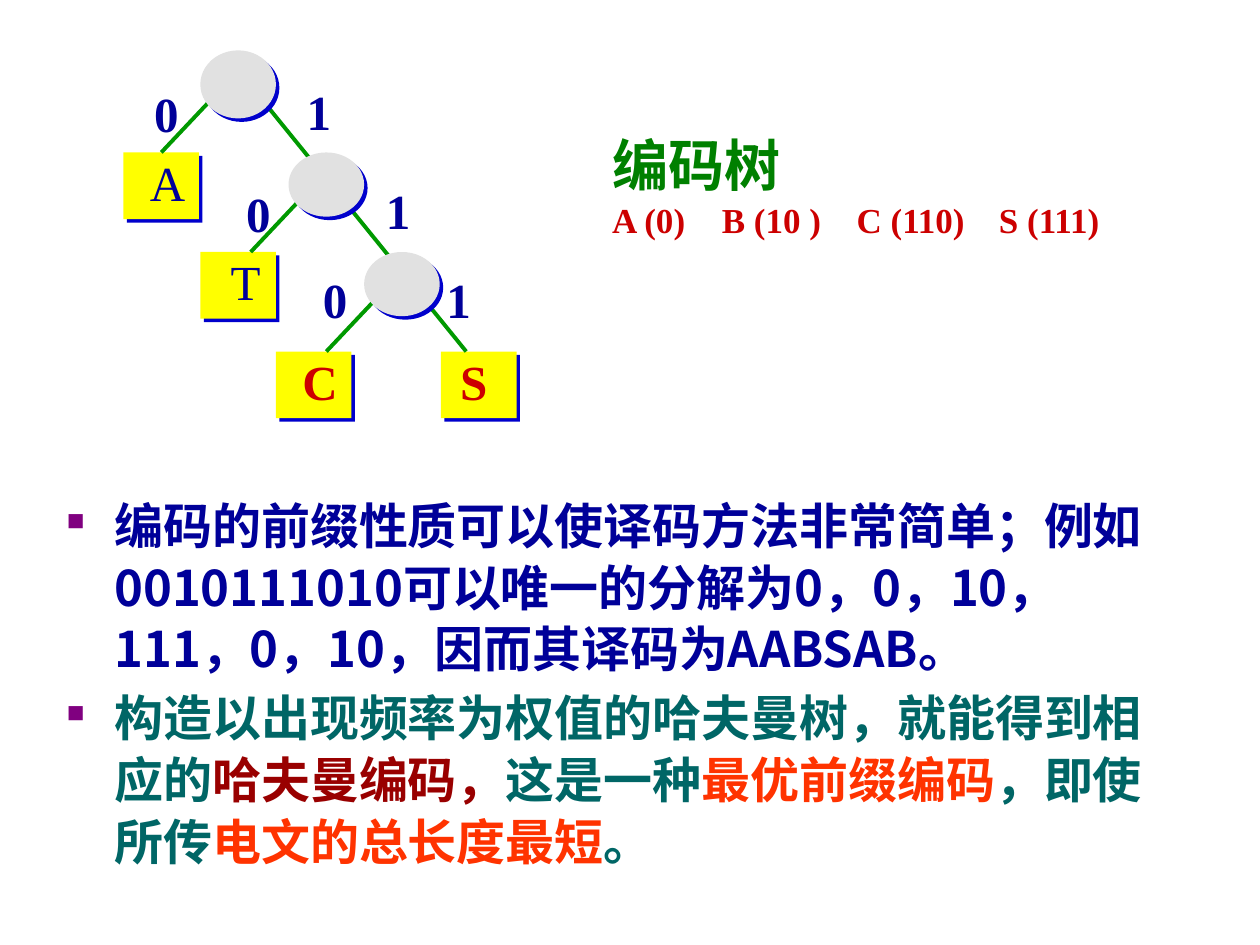
import pptx
import pptx.dml.color
import pptx.enum.shapes
import pptx.enum.text
import pptx.oxml
import pptx.oxml.ns
import pptx.util
from lxml import etree

SERIF, SANS = "Times New Roman", "Noto Sans CJK SC"
NAVY, RED, GREEN, TEAL, ORANGE = "000099", "CC0000", "009900", "006666", "FF3300"
CELL = 0.1  # inches: the slide is a grid of 100 columns by 75 rows

NODE_WIDTH, LEAF_HEIGHT = 6, 5.3
LEVELS = [0, 8.1, 16, 23.9]
# column, level, height
NODES = [(6.1, 0, 5.4), (19.1, 2, 5.1), (13.1, 1, 5.1)]
# letter, column, level, colour, bold, letter offset, shift of the edge from the top centre
LEAVES = [
    ("A", 0, 1, NAVY, False, 0.5, 0),
    ("T", 6.1, 2, NAVY, False, 0.6, 1),
    ("C", 12.1, 3, RED, True, 0.5, 1),
    ("S", 25.2, 3, RED, True, -0.4, None),
]
# bit, column, row
EDGE_BITS = [
    ("0", 1, 2), ("0", 8.3, 9.9), ("0", 14.4, 16.7),
    ("1", 13.1, 1.8), ("1", 19.4, 9.7), ("1", 24.2, 16.7),
]


def cells(*counts):
    return [pptx.util.Inches(count * CELL) for count in counts]


def color(value):
    return pptx.dml.color.RGBColor.from_string(value)


def add_element(parent, tag, **attributes):
    element = etree.SubElement(parent, pptx.oxml.ns.qn(tag))
    for name, value in attributes.items():
        element.set(name, str(value))
    return element


def add_run(paragraph, text, size, value, bold=True, font=SERIF):
    run = paragraph.add_run()
    run.text = text
    run.font.size = pptx.util.Pt(size)
    run.font.bold = bold
    run.font.name = font
    run.font.color.rgb = color(value)
    add_element(run.font._element, "a:ea", typeface=SANS)


def add_label(shapes, text, left, top, width, value, bold=True):
    frame = shapes.add_textbox(*cells(left, top, width, 6)).text_frame
    frame.word_wrap = False
    frame.vertical_anchor = pptx.enum.text.MSO_ANCHOR.MIDDLE
    paragraph = frame.paragraphs[0]
    paragraph.alignment = pptx.enum.text.PP_ALIGN.CENTER
    add_run(paragraph, text, 28, value, bold)


def add_tree_shape(shapes, kind, left, top, height, fill):
    """Add a node or leaf with a hard blue shadow to the lower right."""
    shape = shapes.add_shape(kind, *cells(left, top, NODE_WIDTH, height))
    shape.fill.solid()
    shape.fill.fore_color.rgb = color(fill)
    shape.line.fill.background()
    effects = add_element(shape._element.spPr, "a:effectLst")
    shadow = add_element(effects, "a:outerShdw", dist=pptx.util.Pt(2.8),
                         dir=45 * 60000, algn="ctr", rotWithShape=0)
    add_element(shadow, "a:srgbClr", val="0000CC")
    return shape


def add_edge(shapes, start, end):
    edge = shapes.add_connector(pptx.enum.shapes.MSO_CONNECTOR.STRAIGHT,
                                *cells(*start, *end))
    edge.line.color.rgb = color(GREEN)
    edge.line.width = pptx.util.Pt(2.25)
    add_element(edge._element.spPr, "a:effectLst")
    return edge


def build_tree(slide, left, top):
    """Draw leaves, then edges, then nodes, so that nodes cover the edge ends."""
    shapes = slide.shapes.add_group_shape().shapes
    preset = pptx.enum.shapes.MSO_SHAPE
    for letter, column, level, value, bold, offset, shift in LEAVES:
        x, y = left + column, top + LEVELS[level]
        leaf = add_tree_shape(shapes, preset.RECTANGLE, x, y, LEAF_HEIGHT, "FFFF00")
        add_label(shapes, letter, x + offset, y - 0.7, NODE_WIDTH, value, bold)
        if shift is not None:
            end = x + NODE_WIDTH / 2 + shift
            edge = add_edge(shapes, (end + 5, y - 5.3), (end, y))
            if shift == 0:
                edge.end_connect(leaf, 0)
    add_edge(shapes, (left + 10.1, top + 2.8), (left + 27.2, top + LEVELS[3]))
    for column, level, height in NODES:
        add_tree_shape(shapes, preset.OVAL, left + column, top + LEVELS[level],
                       height, "E1E1E1")
    for bit, column, row in EDGE_BITS:
        add_label(shapes, bit, left + column, top + row, 4.8, NAVY)


def build_code_table(slide, left, top, width, height):
    frame = slide.shapes.add_textbox(*cells(left, top, width, height)).text_frame
    frame.word_wrap = True
    add_run(frame.paragraphs[0], "编码树", 32, "008000")
    codes = frame.add_paragraph()
    tabs = add_element(codes._p.get_or_add_pPr(), "a:tabLst")
    for stop in cells(8.7, 19.4, 30.7):
        add_element(tabs, "a:tab", pos=stop, algn="l")
    add_run(codes, "A (0)\tB (10 )\tC (110)\tS (111)", 20, RED)


def build_bullets(slide, left, top, width, height):
    bullets = [
        [("编码的前缀性质可以使译码方法非常简单；例如0010111010可以唯一的分解为"
          "0，0，10，111，0，10，因而其译码为AABSAB。", NAVY)],
        [("构造以出现频率为权值的哈夫曼树，就能得到相应的", TEAL),
         ("哈夫曼编码，", "990000"), ("这是一种", TEAL), ("最优前缀编码", ORANGE),
         ("，即使所传", TEAL), ("电文的总长度最短", ORANGE), ("。", TEAL)],
    ]
    frame = slide.shapes.add_textbox(*cells(left, top, width, height)).text_frame
    frame.word_wrap = True
    indent = cells(3.8)[0]
    for index, runs in enumerate(bullets):
        paragraph = frame.add_paragraph() if index else frame.paragraphs[0]
        paragraph.line_spacing = 1.05
        if index:
            paragraph.space_before = pptx.util.Pt(4)
        properties = paragraph._p.get_or_add_pPr()
        properties.set("marL", str(indent))
        properties.set("indent", str(-indent))
        bullet_color = add_element(properties, "a:buClr")
        add_element(bullet_color, "a:srgbClr", val="800080")
        add_element(properties, "a:buSzPct", val=50000)
        add_element(properties, "a:buChar", char="■")
        for text, value in runs:
            add_run(paragraph, text, 28, value, font=SANS)


def main():
    presentation = pptx.Presentation()
    presentation.slide_width, presentation.slide_height = cells(100, 75)
    slide = presentation.slides.add_slide(presentation.slide_layouts[6])
    build_bullets(slide, 4.3, 38.6, 88.3, 31.4)
    build_code_table(slide, 47.6, 9.9, 41.8, 13.9)
    build_tree(slide, 9.8, 4)
    presentation.save("out.pptx")


if __name__ == "__main__":
    main()
